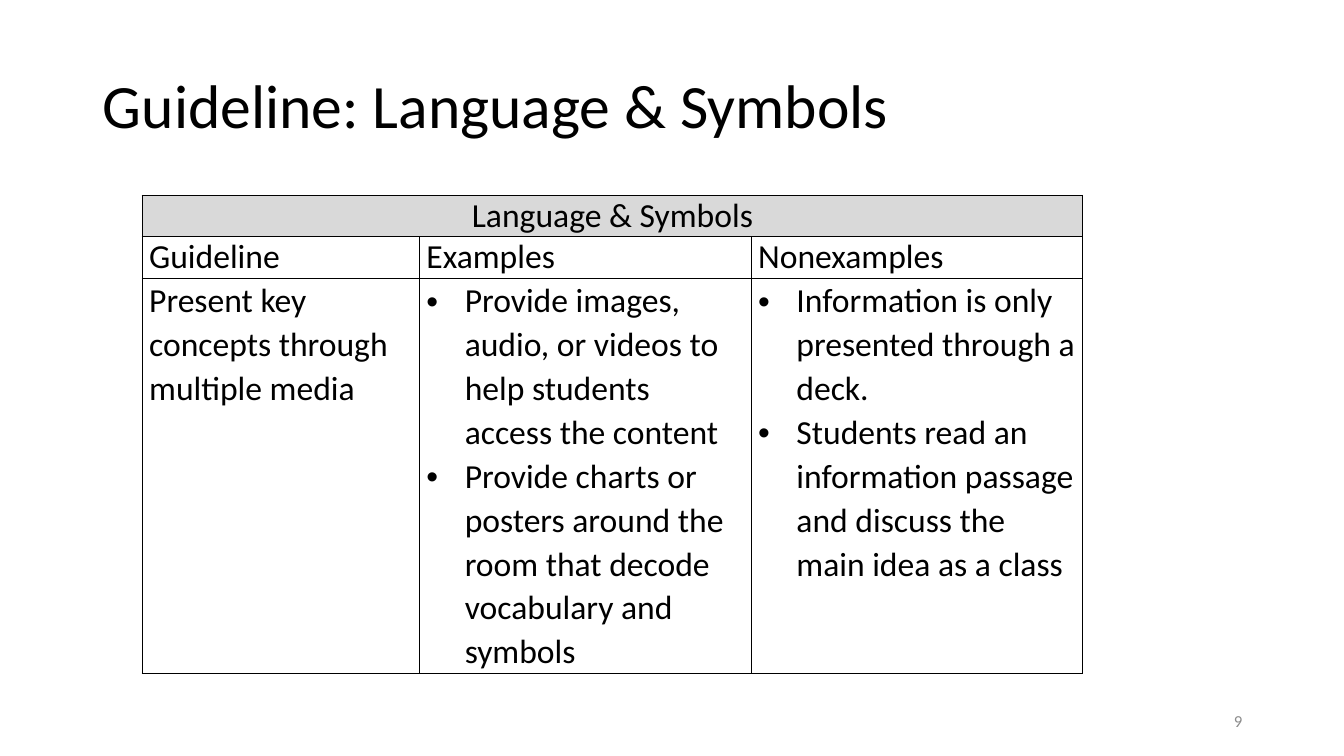
from lxml import etree
from pptx import Presentation
from pptx.dml.color import RGBColor
from pptx.enum.text import MSO_ANCHOR, MSO_AUTO_SIZE, PP_ALIGN
from pptx.oxml.ns import qn
from pptx.util import Inches, Pt

LEFT, CENTER, RIGHT = PP_ALIGN.LEFT, PP_ALIGN.CENTER, PP_ALIGN.RIGHT
MIDDLE = MSO_ANCHOR.MIDDLE
NO_AUTOFIT = MSO_AUTO_SIZE.NONE
BLACK = RGBColor(0x00, 0x00, 0x00)
HEADER_GRAY = RGBColor(0xD9, 0xD9, 0xD9)
NUMBER_GRAY = RGBColor(0x8C, 0x8C, 0x8C)
TITLE_ONLY = 5

COLUMN_WIDTHS = [2.75, 3.29, 3.29]
ROW_HEIGHTS = [0.41, 0.41, 3.92]
HEADING = "Language & Symbols"
COLUMN_LABELS = ["Guideline", "Examples", "Nonexamples"]
GUIDELINE = "Present key concepts through multiple media"
EXAMPLES = [
    "Provide images, audio, or videos to help students access the content",
    "Provide charts or posters around the room that decode vocabulary and symbols",
]
NONEXAMPLES = [
    "Information is only presented through a deck.",
    "Students read an information passage and discuss the main idea as a class",
]


class SlideBuilder:
    font_name = "Calibri"
    cell_margin = Inches(0.07)
    bullet_indent = Inches(0.38)

    def __init__(self, slide):
        self.slide = slide

    def style(self, paragraph, size, color=BLACK, align=LEFT, spacing=1.0):
        paragraph.alignment = align
        paragraph.line_spacing = spacing
        paragraph.font.name = self.font_name
        paragraph.font.size = Pt(size)
        paragraph.font.color.rgb = color

    def title(self, text, left, top, width, height):
        title = self.slide.shapes.title
        title.left, title.top = Inches(left), Inches(top)
        title.width, title.height = Inches(width), Inches(height)
        frame = title.text_frame
        frame.text = text
        frame.auto_size = NO_AUTOFIT
        frame.vertical_anchor = MIDDLE
        self.style(frame.paragraphs[0], 44, spacing=0.9)

    def page_number(self, text, left, top, width, height):
        box = self.slide.shapes.add_textbox(
            Inches(left), Inches(top), Inches(width), Inches(height))
        frame = box.text_frame
        frame.word_wrap = True
        frame.vertical_anchor = MIDDLE
        frame.text = text
        self.style(frame.paragraphs[0], 12, NUMBER_GRAY, RIGHT)

    def table(self, left, top, widths, heights):
        table = self.slide.shapes.add_table(
            len(heights), len(widths), Inches(left), Inches(top),
            Inches(sum(widths)), Inches(sum(heights))).table
        for column, width in zip(table.columns, widths):
            column.width = Inches(width)
        for row, height in zip(table.rows, heights):
            row.height = Inches(height)
        for cell in table.iter_cells():
            cell.margin_left = cell.margin_right = self.cell_margin
            cell.margin_top = cell.margin_bottom = 0
            self.border(cell)
            cell.fill.background()
        return table

    def border(self, cell):
        properties = cell._tc.get_or_add_tcPr()
        for side in ("a:lnL", "a:lnR", "a:lnT", "a:lnB"):
            line = etree.SubElement(properties, qn(side), w=str(Pt(1)))
            fill = etree.SubElement(line, qn("a:solidFill"))
            etree.SubElement(fill, qn("a:srgbClr"), val=str(BLACK))

    def bullet(self, paragraph):
        properties = paragraph._p.get_or_add_pPr()
        properties.set("marL", str(self.bullet_indent))
        properties.set("indent", str(-self.bullet_indent))
        etree.SubElement(properties, qn("a:buFont"), typeface="Arial")
        etree.SubElement(properties, qn("a:buChar"), char="•")

    def cell_text(self, cell, lines, align=LEFT, spacing=1.0, bulleted=False):
        frame = cell.text_frame
        frame.text = "\n".join(lines)
        for paragraph in frame.paragraphs:
            if bulleted:
                self.bullet(paragraph)
            self.style(paragraph, 24, align=align, spacing=spacing)


def main():
    presentation = Presentation()
    presentation.slide_width = Inches(13.33)
    presentation.slide_height = Inches(7.5)
    layout = presentation.slide_layouts[TITLE_ONLY]
    builder = SlideBuilder(presentation.slides.add_slide(layout))

    builder.title("Guideline: Language & Symbols", 0.92, 0.35, 11.5, 1.45)

    table = builder.table(1.41, 1.94, COLUMN_WIDTHS, ROW_HEIGHTS)
    heading = table.cell(0, 0)
    heading.merge(table.cell(0, 2))
    heading.fill.solid()
    heading.fill.fore_color.rgb = HEADER_GRAY
    builder.cell_text(heading, [HEADING], align=CENTER)
    for column, label in enumerate(COLUMN_LABELS):
        builder.cell_text(table.cell(1, column), [label])
    builder.cell_text(table.cell(2, 0), [GUIDELINE], spacing=1.07)
    for column, points in enumerate([EXAMPLES, NONEXAMPLES], start=1):
        builder.cell_text(table.cell(2, column), points, spacing=1.07, bulleted=True)

    builder.page_number("9", 9.42, 6.95, 3, 0.4)
    presentation.save("out.pptx")


if __name__ == "__main__":
    main()
